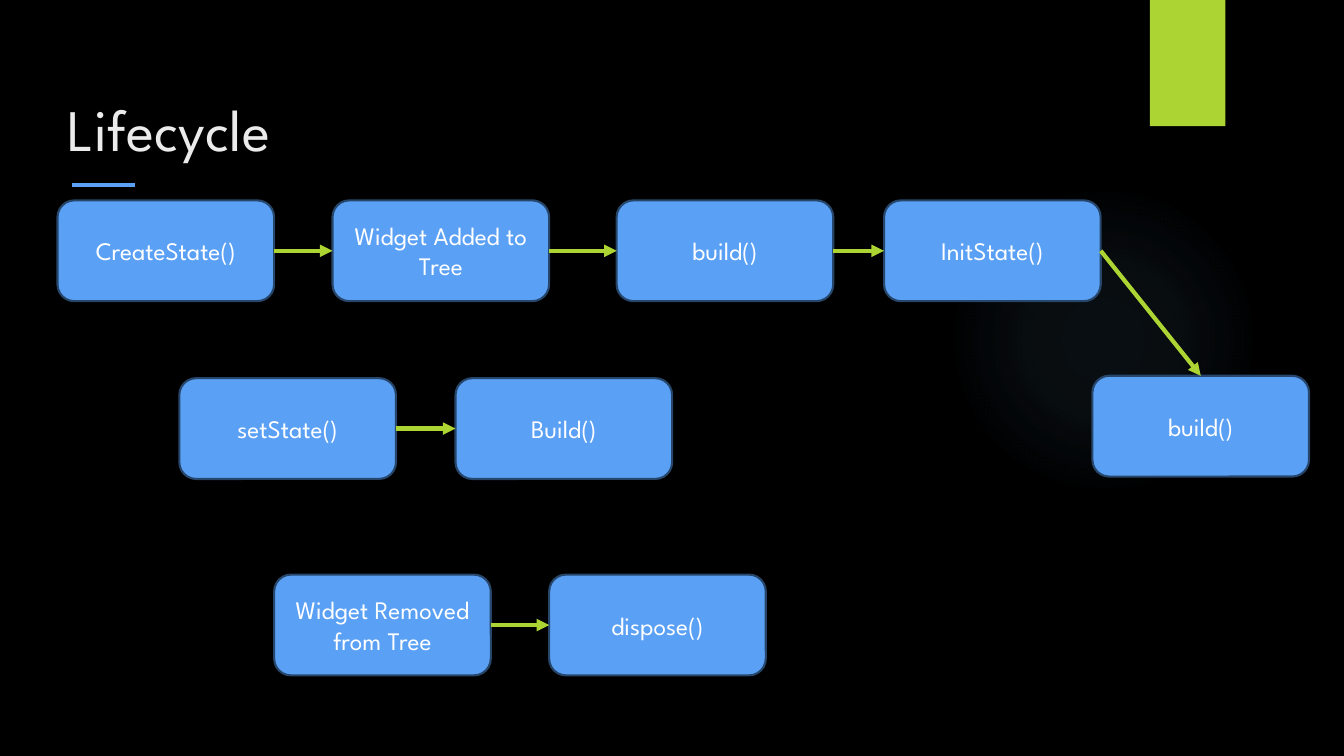
"""Build the widget lifecycle slide."""
from lxml import etree
from pptx import Presentation
from pptx.dml.color import RGBColor
from pptx.enum import shapes, text
from pptx.oxml import parse_xml
from pptx.oxml.ns import nsdecls, qn
from pptx.util import Cm, Pt

TITLE = "Lifecycle"
FLOWS = [
    [("CreateState()", 1.45, 5.05), ("Widget Added to Tree", 8.38, 5.05),
     ("build()", 15.54, 5.05), ("InitState()", 22.28, 5.05), ("build()", 27.53, 9.47)],
    [("setState()", 4.52, 9.53), ("Build()", 11.48, 9.53)],
    [("Widget Removed from Tree", 6.91, 14.48), ("dispose()", 13.84, 14.48)],
]
STEP_WIDTH, STEP_HEIGHT = 5.46, 2.54
TOP, RIGHT, LEFT = 0, 3, 1
FONT = "League Spartan"
BLUE, NAVY, GREEN = "5AA0F5", "27466B", "ACD433"
GLOW_COLOR, GLOW_STOPS = "7AC4F0", [(0, 7), (36, 6), (69, 0)]


def color(hex_string):
    return RGBColor.from_string(hex_string)


def style(paragraph, size, hex_string, align):
    paragraph.alignment = align
    paragraph.font.name = FONT
    paragraph.font.size = Pt(size)
    paragraph.font.color.rgb = color(hex_string)


def add_block(kind, left, top, width, height, fill):
    block = slide.shapes.add_shape(kind, Cm(left), Cm(top), Cm(width), Cm(height))
    block.shadow.inherit = False
    block.fill.solid()
    block.fill.fore_color.rgb = color(fill)
    block.line.fill.background()
    return block


def add_glow():
    glow = add_block(shapes.MSO_SHAPE.OVAL, 23.9, 4.65, 7.82, 7.82, GLOW_COLOR)
    stops = "".join(
        f'<a:gs pos="{pos * 1000}"><a:srgbClr val="{GLOW_COLOR}">'
        f'<a:alpha val="{alpha * 1000}"/></a:srgbClr></a:gs>'
        for pos, alpha in GLOW_STOPS)
    gradient = parse_xml(
        f'<a:gradFill {nsdecls("a")}><a:gsLst>{stops}</a:gsLst><a:path path="circle">'
        '<a:fillToRect l="50000" t="50000" r="50000" b="50000"/></a:path></a:gradFill>')
    properties = glow._element.spPr
    properties.replace(properties.find(qn("a:solidFill")), gradient)


def add_line(start, end, hex_string):
    line = slide.shapes.add_connector(
        shapes.MSO_CONNECTOR.STRAIGHT, *(Cm(value) for value in start + end))
    line.line.color.rgb = color(hex_string)
    line.line.width = Pt(3)
    etree.SubElement(line._element.spPr, qn("a:effectLst"))
    return line


def add_step(label, left, top):
    step = add_block(shapes.MSO_SHAPE.ROUNDED_RECTANGLE, left, top,
                     STEP_WIDTH, STEP_HEIGHT, BLUE)
    step.line.color.rgb = color(NAVY)
    step.line.width = Pt(1.5)
    frame = step.text_frame
    frame.word_wrap = True
    frame.vertical_anchor = text.MSO_ANCHOR.MIDDLE
    frame.text = label
    style(frame.paragraphs[0], 18, "FFFFFF", text.PP_ALIGN.CENTER)
    return step


def add_arrow(source, target):
    arrow = add_line((0, 0), (1, 1), GREEN)
    arrow.begin_connect(source, RIGHT)
    arrow.end_connect(target, LEFT if target.top == source.top else TOP)
    etree.SubElement(arrow.line._get_or_add_ln(), qn("a:tailEnd"), type="triangle")


deck = Presentation()
deck.slide_width, deck.slide_height = Cm(33.87), Cm(19.05)
slide = deck.slides.add_slide(deck.slide_layouts[5])
slide.background.fill.solid()
slide.background.fill.fore_color.rgb = color("000000")

add_glow()
add_block(shapes.MSO_SHAPE.RECTANGLE, 28.98, 0, 1.9, 3.18, GREEN)
add_line((1.82, 4.67), (3.41, 4.67), BLUE)

title = slide.shapes.title
title.left, title.top, title.width, title.height = Cm(1.45), Cm(1.7), Cm(30.99), Cm(2.54)
title.text_frame.text = TITLE
title.text_frame.auto_size = text.MSO_AUTO_SIZE.NONE
title.text_frame.vertical_anchor = text.MSO_ANCHOR.BOTTOM
style(title.text_frame.paragraphs[0], 42, "EBEBEB", text.PP_ALIGN.LEFT)

for flow in FLOWS:
    steps = [add_step(*step) for step in flow]
    for source, target in zip(steps, steps[1:]):
        add_arrow(source, target)

deck.save("out.pptx")
